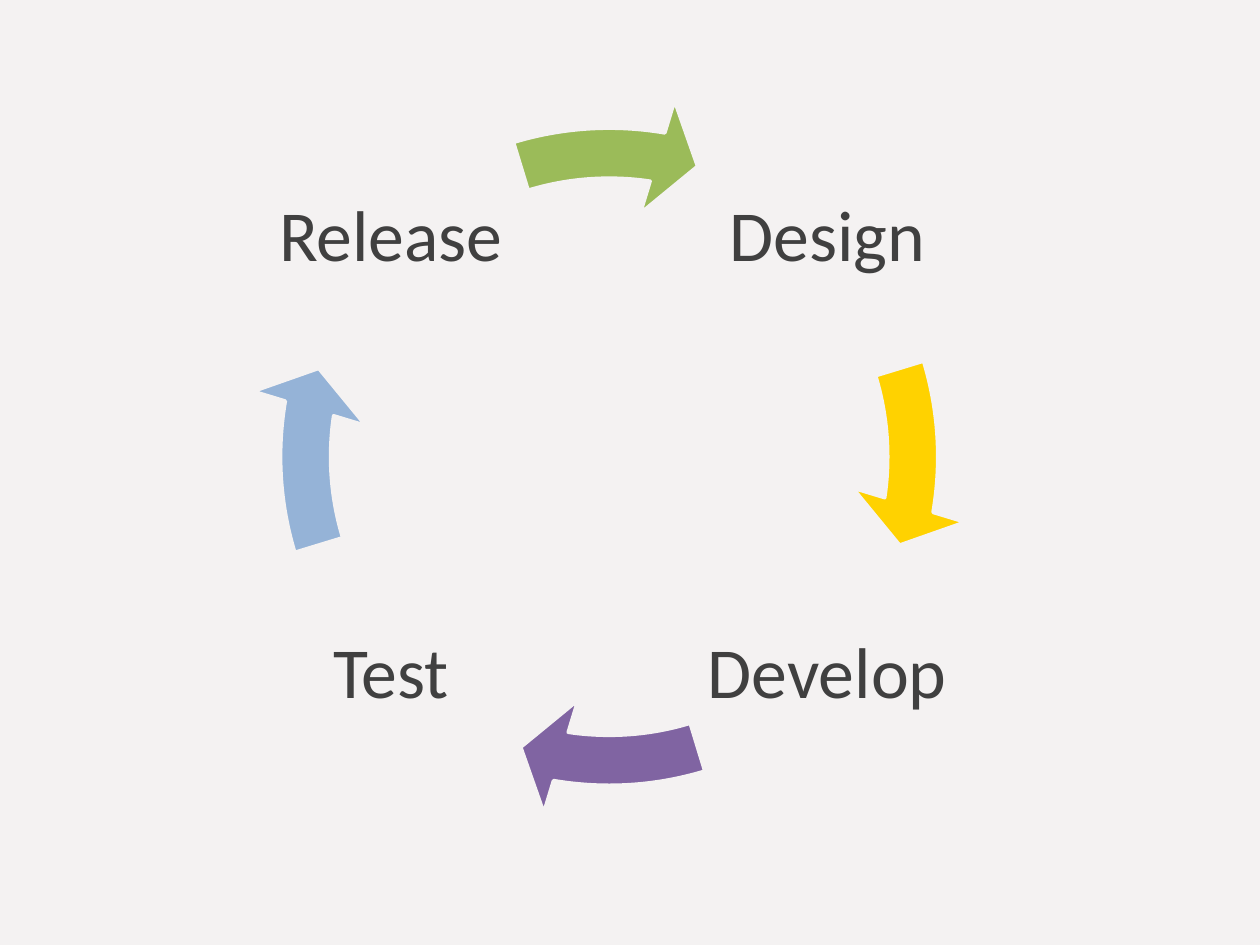
from pptx import Presentation
from pptx.dml.color import RGBColor
from pptx.enum.shapes import MSO_SHAPE
from pptx.enum.text import MSO_ANCHOR, PP_ALIGN
from pptx.util import Inches, Pt

CIRCULAR_ARROW = MSO_SHAPE.CIRCULAR_ARROW
MIDDLE = MSO_ANCHOR.MIDDLE
CENTER = PP_ALIGN.CENTER

BACKGROUND = RGBColor(0xF4, 0xF2, 0xF2)
TEXT = RGBColor(0x40, 0x40, 0x40)
YELLOW = RGBColor(0xFF, 0xD2, 0x00)
PURPLE = RGBColor(0x80, 0x64, 0xA2)
BLUE = RGBColor(0x95, 0xB3, 0xD7)
GREEN = RGBColor(0x9B, 0xBB, 0x59)

SLIDE_WIDTH, SLIDE_HEIGHT = Inches(10), Inches(7.5)

# Step name, colour of the arrow that leaves it, side of the centre (x, y)
STEPS = [
    ("Design", YELLOW, (1, -1)),
    ("Develop", PURPLE, (1, 1)),
    ("Test", BLUE, (-1, 1)),
    ("Release", GREEN, (-1, -1)),
]

# Arrow geometry; angles are in degrees, clockwise from three o'clock
ANGLE_UNIT = 0.6  # one degree as an adjustment value
BAND_WIDTH, HEAD_WIDTH = 0.069, 0.081
HEAD_ANGLE = 7.76
FIRST_START, FIRST_END = 343.09, 9.16

# Label geometry as shares of the cycle's size
LABEL_SHARE = 0.355
LABEL_OFFSET = 0.301


def add_label(page, name, box):
    """Write a step name in the middle of its box."""
    frame = page.shapes.add_textbox(*box).text_frame
    frame.word_wrap = True
    frame.vertical_anchor = MIDDLE
    frame.margin_left = frame.margin_right = Inches(0.06)
    frame.margin_top = frame.margin_bottom = Inches(0.06)
    para = frame.paragraphs[0]
    para.alignment = CENTER
    para.line_spacing = 0.9
    span = para.add_run()
    span.text = name
    span.font.name = "Calibri"
    span.font.size = Pt(41)
    span.font.color.rgb = TEXT


def add_arrow(page, color, turn, box):
    """Draw one arrow of the ring, turned by the given degrees."""
    arrow = page.shapes.add_shape(CIRCULAR_ARROW, *box)
    arrow.shadow.inherit = False
    arrow.fill.solid()
    arrow.fill.fore_color.rgb = color
    arrow.line.color.rgb = BACKGROUND
    arrow.line.width = Pt(2)
    angles = (HEAD_ANGLE, FIRST_END + turn, (FIRST_START + turn) % 360)
    values = (BAND_WIDTH, *(angle * ANGLE_UNIT for angle in angles), HEAD_WIDTH)
    for index, value in enumerate(values):
        arrow.adjustments[index] = value


def add_cycle(page, steps, box):
    """Place the labels at the corners and the arrows between them."""
    left, top, size, _ = box
    label_size = int(size * LABEL_SHARE)
    for index, (name, color, (side_x, side_y)) in enumerate(steps):
        label_left, label_top = (
            int(start + size * (0.5 + side * LABEL_OFFSET) - label_size / 2)
            for start, side in ((left, side_x), (top, side_y))
        )
        add_label(page, name, (label_left, label_top, label_size, label_size))
        add_arrow(page, color, index * 360 / len(steps), box)


def main():
    deck = Presentation()
    deck.slide_width, deck.slide_height = SLIDE_WIDTH, SLIDE_HEIGHT
    page = deck.slides.add_slide(deck.slide_layouts[6])
    page.background.fill.solid()
    page.background.fill.fore_color.rgb = BACKGROUND

    # The cycle fills a square
    size = int(SLIDE_WIDTH * 0.575)
    box = (int(SLIDE_WIDTH * 0.196), int(SLIDE_HEIGHT * 0.1), size, size)
    add_cycle(page, STEPS, box)
    deck.save("out.pptx")


if __name__ == "__main__":
    main()
